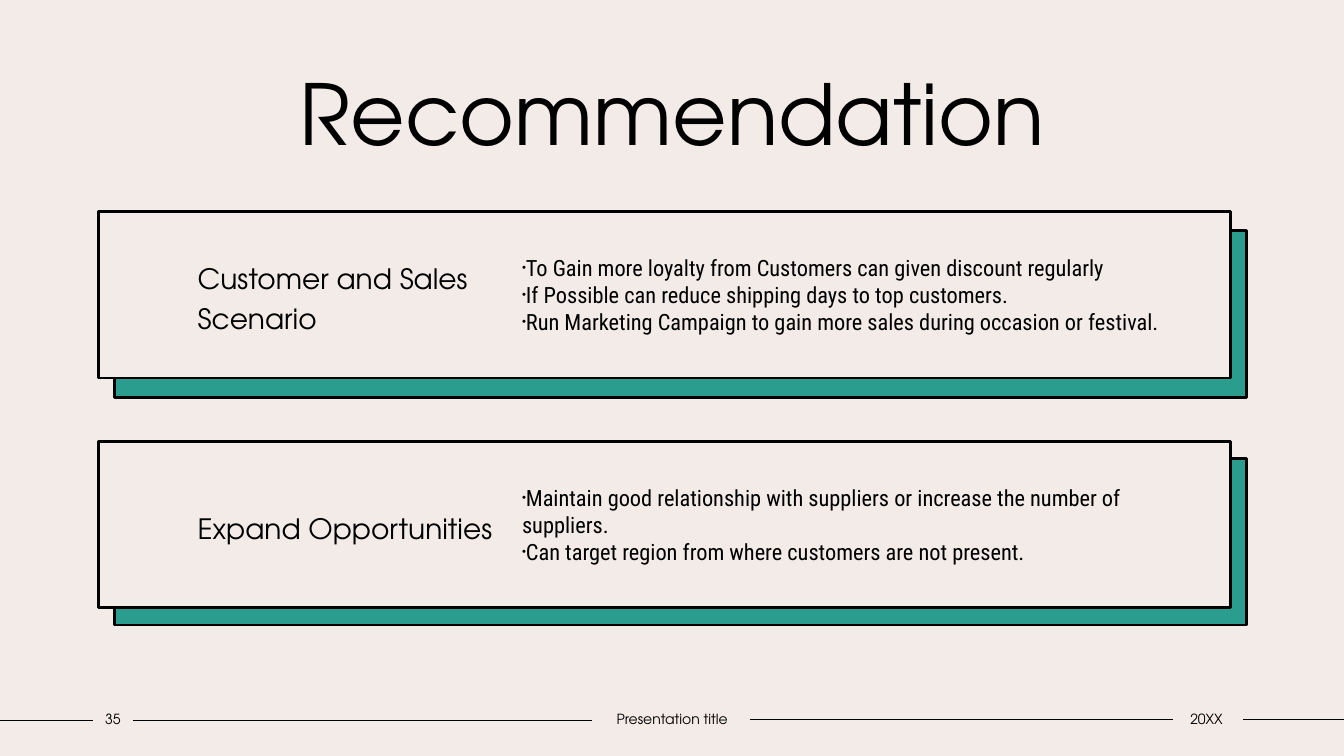
from lxml.etree import SubElement
from pptx import Presentation
from pptx.dml.color import RGBColor
from pptx.enum.shapes import MSO_CONNECTOR, MSO_SHAPE
from pptx.enum.text import MSO_ANCHOR, PP_ALIGN
from pptx.oxml.ns import qn
from pptx.util import Pt

HEADING_FONT = "TeX Gyre Adventor"
BODY_FONT = "Roboto Condensed"
INK = "000000"
PAPER = "F3EBE8"
TEAL = "2A9D8F"
CARD_LEFT, CARD_WIDTH, CARD_HEIGHT = 70.6, 808.5, 118.8
SHADOW_LEFT = 82.1

CARDS = [
    (151.2, 164.9, ["Customer and Sales", "Scenario"], [
        "To Gain more loyalty from Customers can given discount regularly",
        "If Possible can reduce shipping days to top customers.",
        "Run Marketing Campaign to gain more sales during occasion or festival.",
    ]),
    (315.4, 327.6, ["Expand Opportunities"], [
        "Maintain good relationship with suppliers or increase the number of suppliers.",
        "Can target region from where customers are not present.",
    ]),
]
FOOTER_LINES = [(0, 66.2, 514.8), (95, 422.6, 514.8), (535.7, 838.1, 514.1), (887.8, 960, 514.1)]
FOOTER_TEXTS = [("35", 66.2, 28.8), ("Presentation title", 422.6, 115.2), ("20XX", 836.6, 50.4)]


def color(value):
    return RGBColor.from_string(value)


def write(box, lines, font, size, align=PP_ALIGN.LEFT, spacing=1.0, insets=(7.2, 3.6, 7.2, 3.6)):
    frame = box.text_frame
    frame.text = "\n".join(lines)
    frame.word_wrap = True
    frame.vertical_anchor = MSO_ANCHOR.MIDDLE
    frame.margin_left, frame.margin_top, frame.margin_right, frame.margin_bottom = map(Pt, insets)
    for para in frame.paragraphs:
        para.alignment = align
        para.line_spacing = spacing
        para.space_before = Pt(0)
        for span in para.runs:
            span.font.name = font
            span.font.size = Pt(size)
            span.font.color.rgb = color(INK)


def add_text(page, left, top, width, height, lines, font, size, **options):
    box = page.shapes.add_textbox(Pt(left), Pt(top), Pt(width), Pt(height))
    write(box, lines, font, size, **options)
    return box


def add_panel(page, left, top, fill):
    panel = page.shapes.add_shape(
        MSO_SHAPE.RECTANGLE, Pt(left), Pt(top), Pt(CARD_WIDTH), Pt(CARD_HEIGHT))
    panel.shadow.inherit = False
    panel.fill.solid()
    panel.fill.fore_color.rgb = color(fill)
    panel.line.color.rgb = color(INK)
    panel.line.width = Pt(2)
    return panel


def add_bullets(box):
    for para in box.text_frame.paragraphs:
        properties = para._p.get_or_add_pPr()
        properties.set("marL", "0")
        properties.set("indent", str(-Pt(10.8)))
        SubElement(properties, qn("a:buSzPct"), val="50000")
        SubElement(properties, qn("a:buFont"), typeface="Arial")
        SubElement(properties, qn("a:buChar"), char="•")


def add_card(page, top, shadow_top, heading, points):
    add_panel(page, SHADOW_LEFT, shadow_top, TEAL)
    card = add_panel(page, CARD_LEFT, top, PAPER)
    write(card, heading, HEADING_FONT, 20, spacing=1.2, insets=(70.6, 3.6, 511.2, 3.6))
    add_bullets(add_text(page, 365.8, top + 7.2, 504.7, 104.4, points, BODY_FONT, 16))


def add_line(page, start, end, height):
    line = page.shapes.add_connector(
        MSO_CONNECTOR.STRAIGHT, Pt(start), Pt(height), Pt(end), Pt(height))
    line.line.color.rgb = color(INK)
    line.line.width = Pt(1)
    SubElement(line._element.spPr, qn("a:effectLst"))


def add_title(page, text):
    title = page.shapes.title
    title.left, title.top, title.width, title.height = Pt(90), Pt(40.3), Pt(780.5), Pt(79.9)
    write(title, [text], HEADING_FONT, 60, align=PP_ALIGN.CENTER)


def main():
    deck = Presentation()
    deck.slide_width, deck.slide_height = Pt(960), Pt(540)
    page = deck.slides.add_slide(deck.slide_layouts[5])
    page.background.fill.solid()
    page.background.fill.fore_color.rgb = color(PAPER)
    add_title(page, "Recommendation")
    for card in CARDS:
        add_card(page, *card)
    for line in FOOTER_LINES:
        add_line(page, *line)
    for text, left, width in FOOTER_TEXTS:
        add_text(page, left, 504, width, 19.4, [text], HEADING_FONT, 10,
                 align=PP_ALIGN.CENTER, insets=(0, 3.6, 0, 3.6))
    deck.save("out.pptx")


if __name__ == "__main__":
    main()
